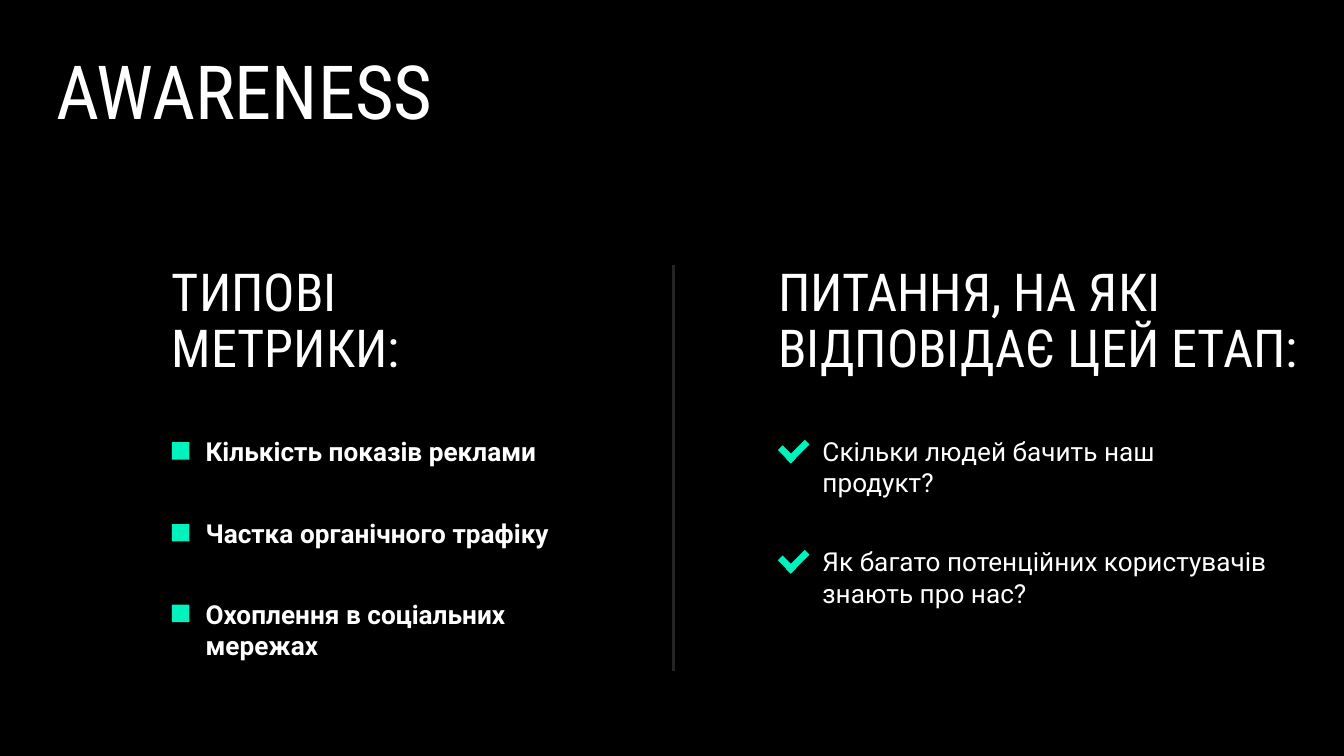
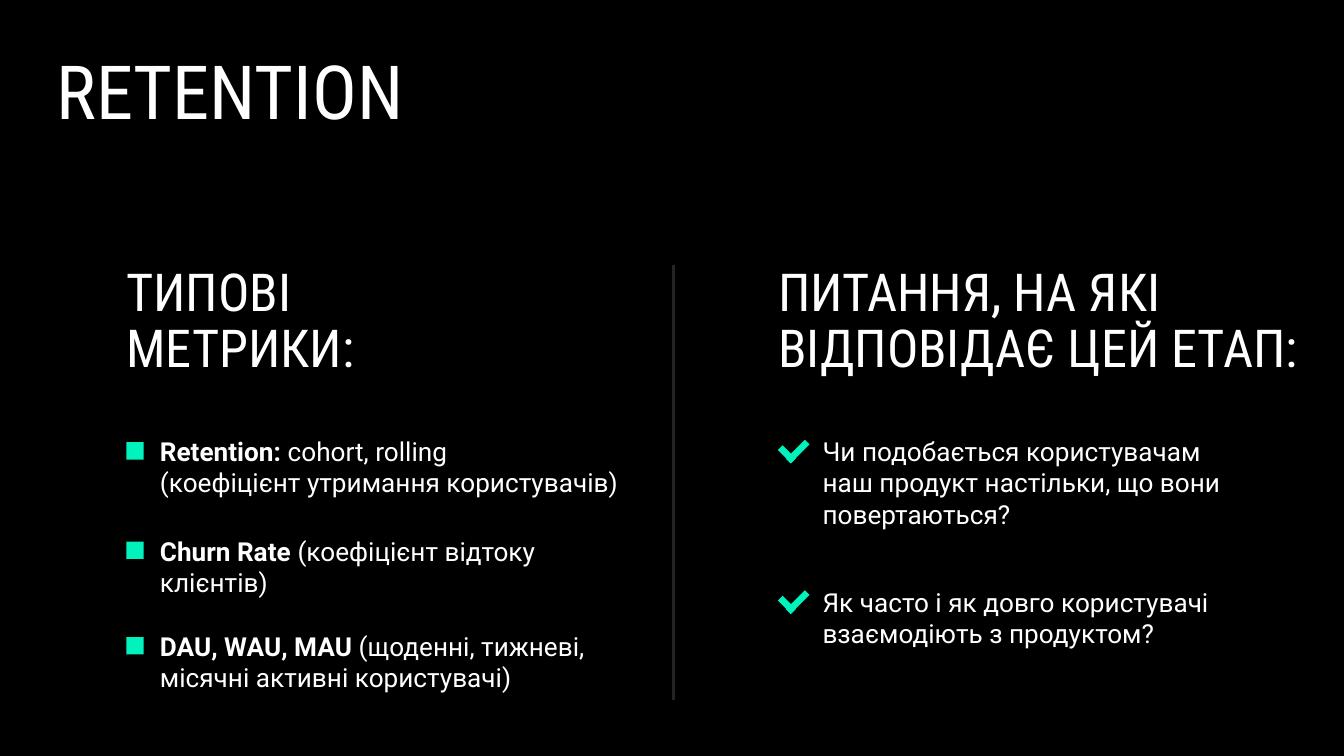
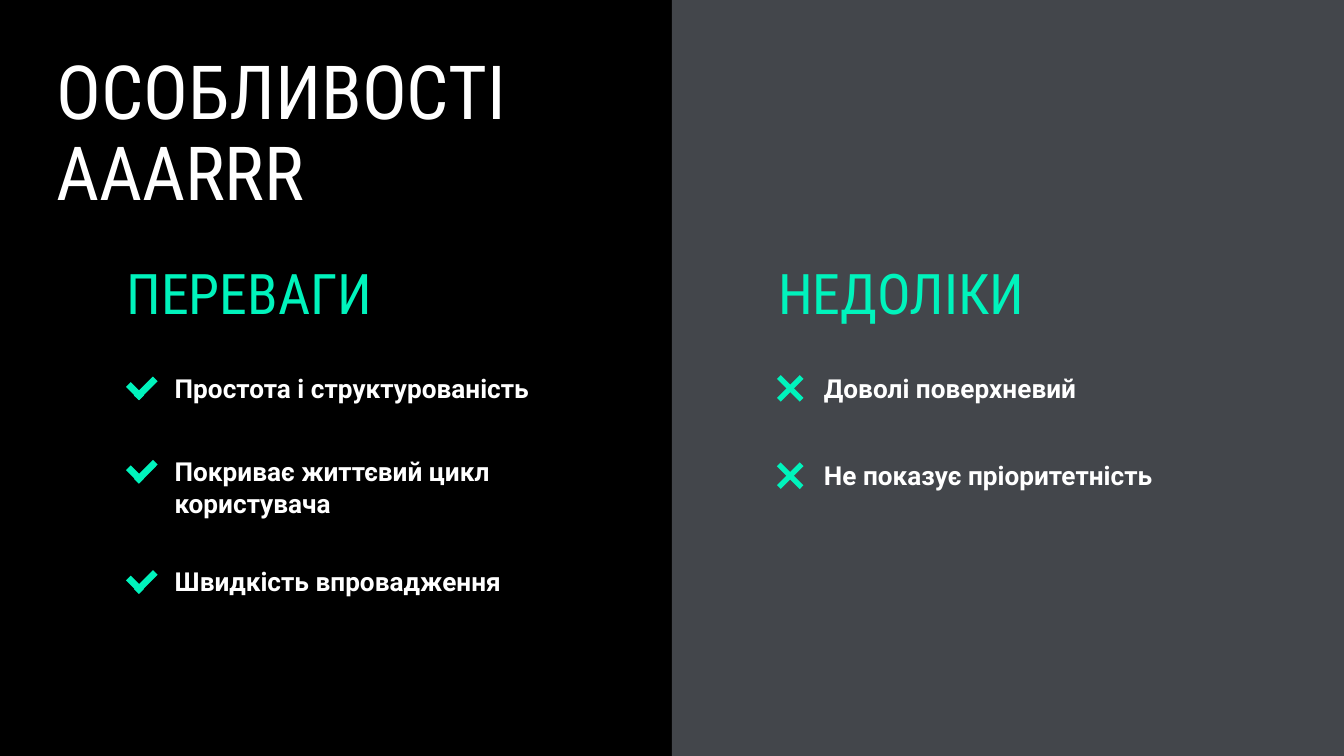
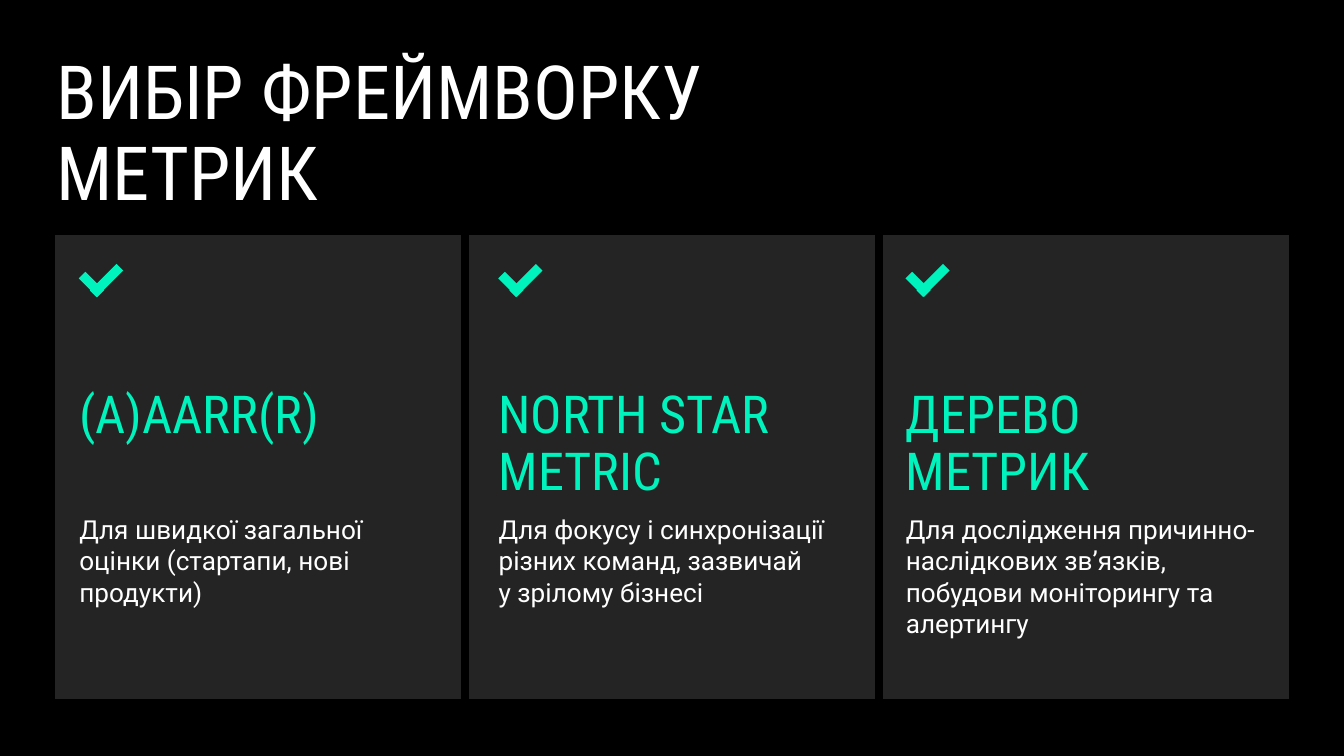
from lxml import etree
from pptx import Presentation
from pptx.dml.color import RGBColor
from pptx.enum import shapes, text
from pptx.oxml.ns import qn
from pptx.util import Inches, Pt

COLORS = {
    "back": "000000",
    "white": "FFFFFF",
    "accent": "00F3BC",
    "card": "242424",
    "panel": "43464B",
}
TITLE = {"name": "Roboto Condensed", "size": Pt(40)}
HEADING = {"name": "Roboto Condensed", "size": Pt(28)}
BIG_HEADING = {"name": "Roboto Condensed", "size": Pt(30)}
BODY = {"name": "Roboto", "size": Pt(14)}
BOLD = {"bold": True}

SLIDE_WIDTH = 10
SLIDE_HEIGHT = SLIDE_WIDTH * 9 / 16
CONTENT_TOP = 1.98
RIGHT_LEFT = 5.79


def rgb(color):
    return RGBColor.from_string(COLORS[color])


def write(frame, paragraphs, style, color="white", spacing=None, grow=False):
    """Fill a frame; each paragraph is a list of (words, extra font values)."""
    settings = {
        "margin_left": 0, "margin_top": 0, "margin_right": 0, "margin_bottom": 0,
        "word_wrap": True,
        "vertical_anchor": text.MSO_ANCHOR.TOP,
        "auto_size": (text.MSO_AUTO_SIZE.SHAPE_TO_FIT_TEXT if grow
                      else text.MSO_AUTO_SIZE.NONE),
    }
    for key, value in settings.items():
        setattr(frame, key, value)
    for number, pieces in enumerate(paragraphs):
        paragraph = frame.add_paragraph() if number else frame.paragraphs[0]
        paragraph.alignment = text.PP_ALIGN.LEFT
        paragraph.line_spacing = spacing
        for words, extra in pieces:
            for row, line in enumerate(words.split("\n")):
                if row:
                    paragraph.add_line_break()
                run = paragraph.add_run()
                run.text = line
                run.font.color.rgb = rgb(color)
                for key, value in {**style, **extra}.items():
                    setattr(run.font, key, value)


def add_text(slide, box, paragraphs, style=BODY, **options):
    frame = slide.shapes.add_textbox(*map(Inches, box)).text_frame
    write(frame, paragraphs, style, **options)


def add_heading(slide, box, words, style=HEADING, color="white"):
    add_text(slide, box, [[(words, {})]], style, color=color, spacing=0.9, grow=True)


def add_block(parent, left, top, width, height, color="accent", rotation=0):
    block = parent.shapes.add_shape(
        shapes.MSO_SHAPE.RECTANGLE, *map(Inches, (left, top, width, height)))
    block.shadow.inherit = False
    block.fill.solid()
    block.fill.fore_color.rgb = rgb(color)
    block.line.fill.background()
    block.rotation = rotation


def add_square(slide, left, top):
    add_block(slide, left, top + 0.05, 0.13, 0.13)


def add_check(slide, left, top, scale=1):
    group = slide.shapes.add_group_shape()
    left, top = left + 0.04 * scale, top + 0.02 * scale
    add_block(group, left, top + 0.05 * scale, 0.05 * scale, 0.14 * scale, rotation=315)
    add_block(group, left + 0.08 * scale, top, 0.05 * scale, 0.2 * scale, rotation=45)


def add_cross(slide, left, top):
    group = slide.shapes.add_group_shape()
    for rotation in (45, 315):
        add_block(group, left + 0.07, top, 0.04, 0.24, rotation=rotation)


def add_items(slide, left, indent, add_marker, items):
    """Marked list; each item is (top, width, height, paragraphs)."""
    for top, width, height, paragraphs in items:
        add_marker(slide, left, top)
        add_text(slide, (left + indent, top, width, height), paragraphs)


def add_divider(slide, bottom):
    divider = slide.shapes.add_connector(
        shapes.MSO_CONNECTOR.STRAIGHT, *map(Inches, (5.01, 1.97, 5.01, bottom)))
    divider.line.color.rgb = rgb("card")
    divider.line.width = Pt(1.5)
    etree.SubElement(divider._element.spPr, qn("a:effectLst"))


def new_slide(prs, title_lines, width=6.46):
    slide = prs.slides.add_slide(prs.slide_layouts[5])
    title = slide.shapes.title
    box = {"left": 0.42, "top": 0.41, "width": width, "height": 0.61 * len(title_lines)}
    for key, value in box.items():
        setattr(title, key, Inches(value))
    write(title.text_frame, [[(line, {})] for line in title_lines], TITLE,
          spacing=0.9, grow=True)
    return slide


def add_stage_slide(prs, title, left, bottom, metrics, questions):
    """Funnel stage: metrics on the left, questions on the right."""
    slide = new_slide(prs, [title])
    add_heading(slide, (left, CONTENT_TOP, 2.8, 0.85), "ТИПОВІ МЕТРИКИ:")
    add_heading(slide, (RIGHT_LEFT, CONTENT_TOP, 4.24, 0.85),
                "ПИТАННЯ, НА ЯКІ ВІДПОВІДАЄ ЦЕЙ ЕТАП:")
    add_items(slide, left, 0.25, add_square, metrics)
    add_items(slide, RIGHT_LEFT, 0.33, add_check, questions)
    add_divider(slide, bottom)


def add_features_slide(prs):
    slide = new_slide(prs, ["ОСОБЛИВОСТІ", "AAARRR"])
    half = SLIDE_WIDTH / 2
    add_block(slide, half, 0, half, SLIDE_HEIGHT, "panel")
    # The panel goes behind the title
    tree = slide.shapes._spTree
    tree.insert(2, tree[-1])
    pros = [
        (2.77, 2.75, 0.24, [[("Простота і структурованість", BOLD)]]),
        (3.39, 2.8, 0.45, [[("Покриває життєвий цикл користувача", BOLD)]]),
        (4.21, 2.75, 0.24, [[("Швидкість впровадження", BOLD)]]),
    ]
    cons = [
        (2.77, 2.22, 0.24, [[("Доволі поверхневий", BOLD)]]),
        (3.42, 2.55, 0.24, [[("Не показує пріоритетність", BOLD)]]),
    ]
    for left, width, heading, indent, add_marker, items in (
            (0.94, 2.8, "ПЕРЕВАГИ", 0.36, add_check, pros),
            (RIGHT_LEFT, 2.22, "НЕДОЛІКИ", 0.34, add_cross, cons)):
        add_heading(slide, (left, CONTENT_TOP, width, 0.45), heading,
                    BIG_HEADING, "accent")
        add_items(slide, left, indent, add_marker, items)


def add_choice_slide(prs):
    slide = new_slide(prs, ["ВИБІР ФРЕЙМВОРКУ МЕТРИК"], width=6.8)
    frameworks = [
        (0.59, 2.51, 0.42, "(A)AARR(R)", 2.37,
         "Для швидкої загальної оцінки (стартапи, нові продукти)"),
        (3.71, 2.61, 0.85, "NORTH STAR METRIC", 2.61,
         "Для фокусу і синхронізації різних команд, зазвичай \nу зрілому бізнесі"),
        (6.74, 2.68, 0.85, "ДЕРЕВО МЕТРИК", 2.83,
         "Для дослідження причинно- наслідкових звʼязків, "
         "побудови моніторингу та алертингу"),
    ]
    for column, (left, width, height, name, use_width, use) in enumerate(frameworks):
        add_block(slide, 0.41 + 3.08 * column, 1.75, 3.02, 3.45, "card")
        add_check(slide, left, 1.92, scale=1.4)
        add_heading(slide, (left, 2.89, width, height), name, color="accent")
        add_text(slide, (left, 3.82, use_width, 0.85), [[(use, {})]])


def main():
    prs = Presentation()
    prs.slide_width, prs.slide_height = Inches(SLIDE_WIDTH), Inches(SLIDE_HEIGHT)
    backdrop = prs.slide_master.background.fill
    backdrop.solid()
    backdrop.fore_color.rgb = rgb("back")

    add_stage_slide(
        prs, "AWARENESS", 1.28, 4.99,
        metrics=[
            (3.24, 2.8, 0.32, [[("Кількість показів реклами", BOLD)]]),
            (3.85, 2.8, 0.32, [[("Частка органічного трафіку", BOLD)]]),
            (4.45, 2.8, 0.45, [[("Охоплення в соціальних мережах", BOLD)]]),
        ],
        questions=[
            (3.24, 2.8, 0.51, [[("Скільки людей бачить наш продукт?", {})]]),
            (4.06, 3.46, 0.51,
             [[("Як багато потенційних користувачів знають про нас?", {})]]),
        ])
    add_stage_slide(
        prs, "RETENTION", 0.94, 5.21,
        metrics=[
            (3.24, 3.56, 0.51, [[("Retention: ", BOLD), ("cohort, rolling", {})],
                                [("(коефіцієнт утримання користувачів)", {})]]),
            (3.98, 3.56, 0.51,
             [[("Churn Rate ", BOLD), ("(коефіцієнт відтоку клієнтів)", {})]]),
            (4.69, 3.56, 0.51,
             [[("DAU, WAU, MAU ", BOLD),
               ("(щоденні, тижневі, місячні активні користувачі)", {})]]),
        ],
        questions=[
            (3.24, 3.19, 0.69,
             [[("Чи подобається користувачам наш продукт настільки, "
                "що вони повертаються?", {})]]),
            (4.36, 3.78, 0.45,
             [[("Як часто і як довго користувачі взаємодіють з продуктом?", {})]]),
        ])
    add_features_slide(prs)
    add_choice_slide(prs)
    prs.save("out.pptx")


if __name__ == "__main__":
    main()
